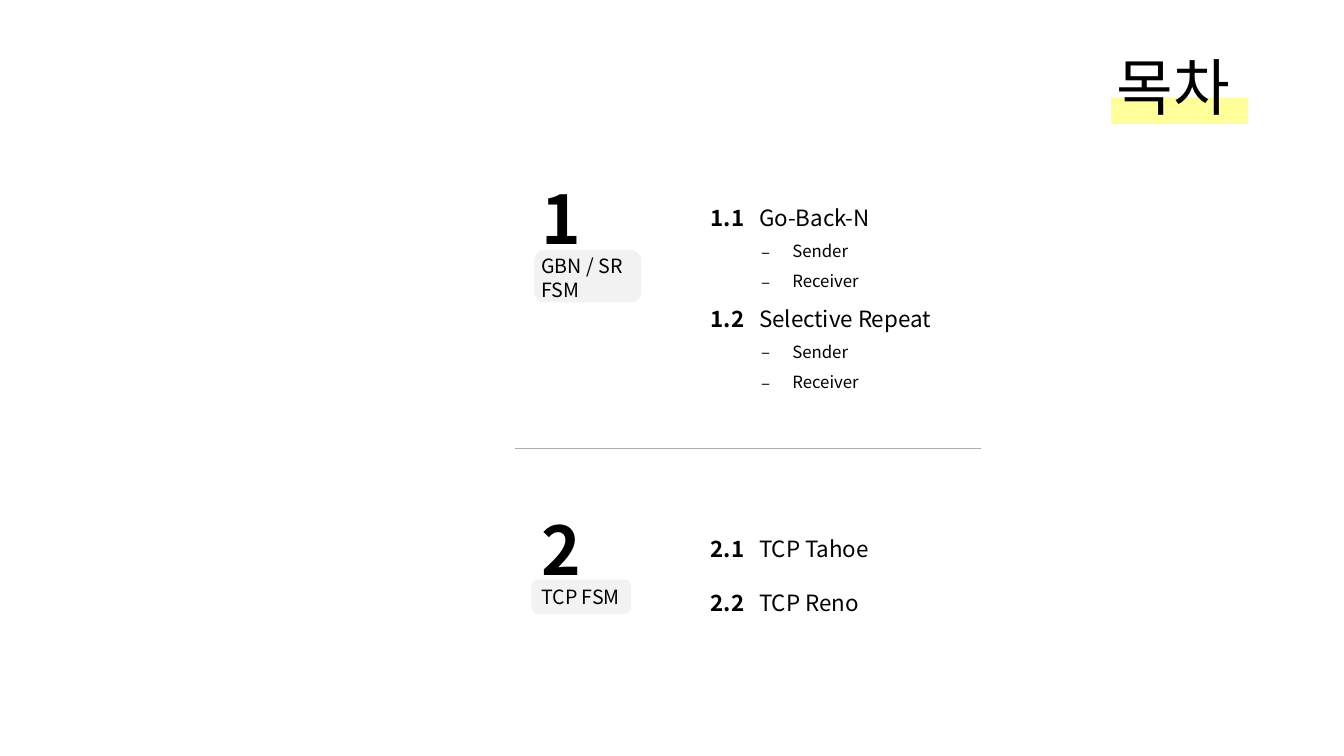
"""Build the contents slide with two numbered chapters."""
from dataclasses import dataclass

from lxml import etree
from pptx import Presentation
from pptx.dml.color import RGBColor
from pptx.enum.shapes import MSO_CONNECTOR, MSO_SHAPE
from pptx.enum.text import MSO_AUTO_SIZE
from pptx.oxml.ns import qn
from pptx.shapes.autoshape import Shape
from pptx.slide import Slide
from pptx.text.text import TextFrame, _Paragraph
from pptx.util import Inches, Pt

RECTANGLE = MSO_SHAPE.RECTANGLE
ROUNDED = MSO_SHAPE.ROUNDED_RECTANGLE
STRAIGHT = MSO_CONNECTOR.STRAIGHT
FIT_TEXT = MSO_AUTO_SIZE.SHAPE_TO_FIT_TEXT

Area = tuple[float, float, float, float]


@dataclass(frozen=True)
class Theme:
    font: str = "Noto Sans CJK KR"
    ink: str = "000000"
    highlight: str = "FFFF00"
    badge: str = "F2F2F2"
    rule: str = "AFABAB"
    title: int = 44
    number: int = 48
    label: int = 14
    topic: int = 16
    detail: int = 12


@dataclass(frozen=True)
class Topic:
    number: str
    name: str
    spacing: float
    details: tuple[str, ...] = ()


@dataclass(frozen=True)
class Chapter:
    number: str
    number_area: Area
    label: tuple[str, ...]
    label_area: Area
    badge_area: Area
    topics: tuple[Topic, ...]
    topics_area: Area


THEME = Theme()
TAB_STOP = 0.48
DETAILS = ("Sender", "Receiver")
CHAPTERS = (
    Chapter("1", (5.27, 1.71, 0.59, 0.91),
            ("GBN / SR", "FSM"), (5.27, 2.47, 1.13, 0.57), (5.3, 2.48, 1.06, 0.52),
            (Topic("1.1", "Go-Back-N", 1.5, DETAILS),
             Topic("1.2", "Selective Repeat", 1.5, DETAILS)),
            (6.95, 1.84, 4.9, 2.08)),
    Chapter("2", (5.27, 4.99, 0.57, 0.91),
            ("TCP FSM",), (5.27, 5.75, 0.99, 0.34), (5.27, 5.75, 0.99, 0.34),
            (Topic("2.1", "TCP Tahoe", 1.0), Topic("2.2", "TCP Reno", 2.0)),
            (6.95, 5.26, 4.9, 0.82)),
)


def add_panel(page: Slide, kind: MSO_SHAPE, area: Area, color: str) -> Shape:
    panel = page.shapes.add_shape(kind, *map(Inches, area))
    panel.shadow.inherit = False
    panel.fill.solid()
    panel.fill.fore_color.rgb = RGBColor.from_string(color)
    panel.line.fill.background()
    return panel


def add_frame(page: Slide, area: Area, wrap: bool = True) -> TextFrame:
    frame = page.shapes.add_textbox(*map(Inches, area)).text_frame
    frame.word_wrap = wrap
    frame.auto_size = FIT_TEXT
    return frame


def next_para(frame: TextFrame) -> _Paragraph:
    first = frame.paragraphs[0]
    return frame.add_paragraph() if first.runs else first


def style_para(para: _Paragraph, size: int) -> None:
    para.font.size = Pt(size)
    para.font.name = THEME.font
    para.font.color.rgb = RGBColor.from_string(THEME.ink)
    defaults = para._p.pPr.find(qn("a:defRPr"))
    etree.SubElement(defaults, qn("a:ea"), typeface=THEME.font)


def add_lines(frame: TextFrame, lines: tuple[str, ...], size: int, bold: bool = False) -> None:
    for line in lines:
        para = next_para(frame)
        para.add_run().text = line
        style_para(para, size)
        para.font.bold = bold


def add_topic(frame: TextFrame, topic: Topic) -> None:
    para = next_para(frame)
    para.line_spacing = topic.spacing
    tabs = etree.SubElement(para._p.get_or_add_pPr(), qn("a:tabLst"))
    etree.SubElement(tabs, qn("a:tab"), pos=str(Inches(TAB_STOP)), algn="l")
    for text, bold in ((topic.number, True), (f"\t{topic.name}", False)):
        span = para.add_run()
        span.text = text
        span.font.bold = bold
    style_para(para, THEME.topic)
    for detail in topic.details:
        add_detail(frame, detail, topic.spacing)


def add_detail(frame: TextFrame, detail: str, spacing: float) -> None:
    para = next_para(frame)
    para.level = 1
    para.line_spacing = spacing
    settings = para._p.get_or_add_pPr()
    settings.set("marL", str(Inches(0.81)))
    settings.set("indent", str(Inches(-0.31)))
    etree.SubElement(settings, qn("a:buFont"), typeface=THEME.font)
    etree.SubElement(settings, qn("a:buChar"), char="–")
    para.add_run().text = detail
    style_para(para, THEME.detail)


def add_title(page: Slide) -> None:
    marker = add_panel(page, RECTANGLE, (11.02, 0.97, 1.36, 0.26), THEME.highlight)
    color = marker._element.spPr.find(f"{qn('a:solidFill')}/{qn('a:srgbClr')}")
    etree.SubElement(color, qn("a:alpha"), val="40000")
    add_lines(add_frame(page, (10.98, 0.44, 1.44, 0.84), wrap=False), ("목차",), THEME.title)


def add_chapter(page: Slide, chapter: Chapter) -> None:
    badge = add_panel(page, ROUNDED, chapter.badge_area, THEME.badge)
    badge.adjustments[0] = 0.19
    add_lines(add_frame(page, chapter.label_area), chapter.label, THEME.label)
    number_frame = add_frame(page, chapter.number_area, wrap=False)
    add_lines(number_frame, (chapter.number,), THEME.number, bold=True)
    topics_frame = add_frame(page, chapter.topics_area)
    for topic in chapter.topics:
        add_topic(topics_frame, topic)


def add_divider(page: Slide) -> None:
    ends = map(Inches, (9.73, 4.45, 5.11, 4.45))
    divider = page.shapes.add_connector(STRAIGHT, *ends)
    divider.line.color.rgb = RGBColor.from_string(THEME.rule)
    divider.line.width = Pt(0.5)
    etree.SubElement(divider._element.spPr, qn("a:effectLst"))


def main() -> None:
    deck = Presentation()
    deck.slide_width, deck.slide_height = Inches(13.33), Inches(7.5)
    page = deck.slides.add_slide(deck.slide_layouts[6])
    add_title(page)
    for chapter in CHAPTERS:
        add_chapter(page, chapter)
    add_divider(page)
    deck.save("out.pptx")


if __name__ == "__main__":
    main()
